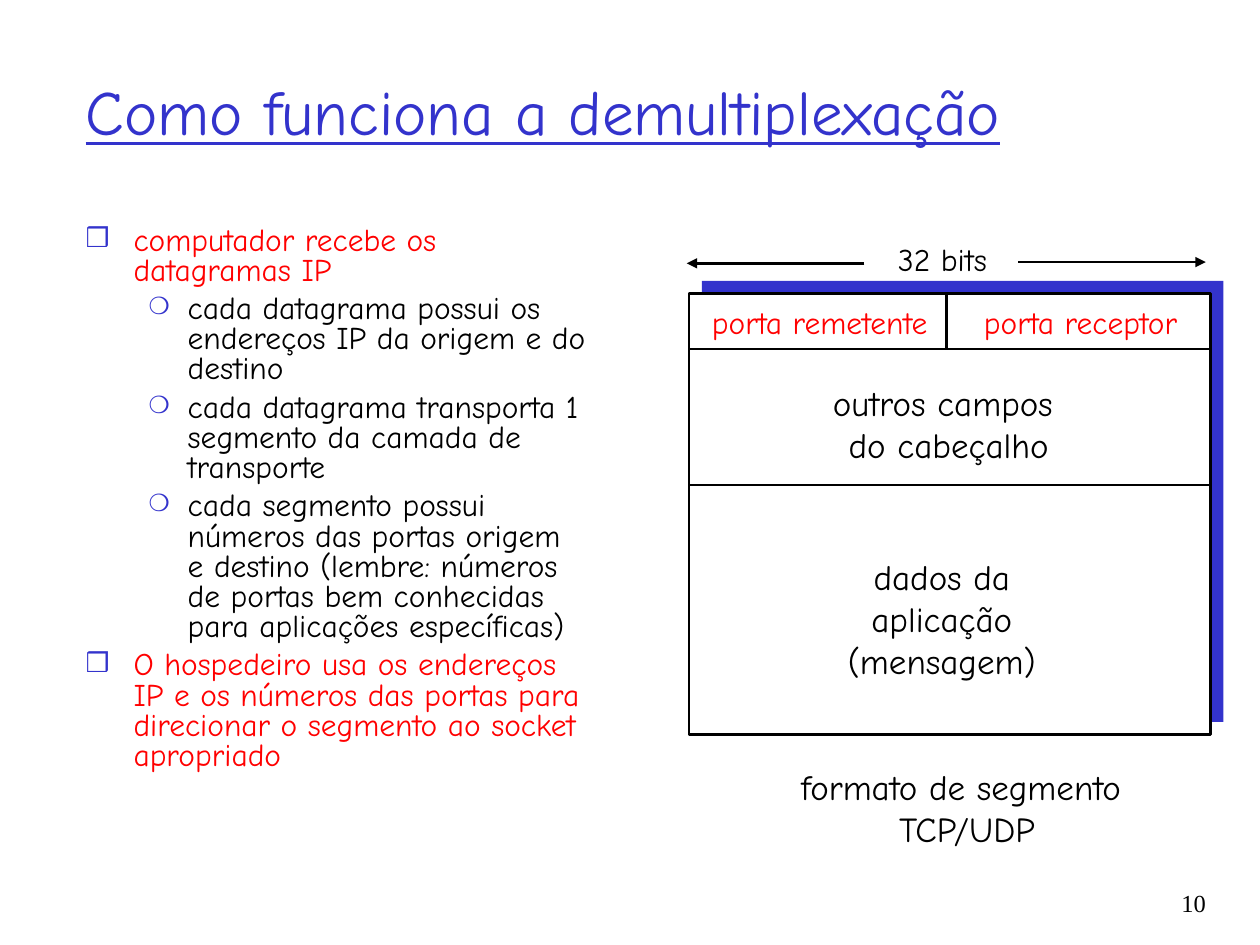
from dataclasses import dataclass

from lxml.etree import SubElement
from pptx import Presentation
from pptx.dml.color import RGBColor
from pptx.enum.shapes import MSO_CONNECTOR, MSO_SHAPE
from pptx.enum.text import MSO_ANCHOR, MSO_AUTO_SIZE, PP_ALIGN
from pptx.oxml.ns import qn
from pptx.util import Emu, Pt

PX = 9144


@dataclass(frozen=True)
class Theme:
    blue: RGBColor = RGBColor(0x33, 0x33, 0xCC)
    red: RGBColor = RGBColor(0xFF, 0, 0)
    black: RGBColor = RGBColor(0, 0, 0)
    white: RGBColor = RGBColor(0xFF, 0xFF, 0xFF)
    font: str = "Comic Neue"
    number_font: str = "Times New Roman"
    title: int = 36
    body: int = 18
    diagram: int = 20
    number: int = 14
    line: float = 1.5


THEME = Theme()


@dataclass(frozen=True)
class Area:
    left: int
    top: int
    width: int
    height: int

    def emu(self) -> list[Emu]:
        return [px(value) for value in (self.left, self.top, self.width, self.height)]


@dataclass(frozen=True)
class Label:
    area: Area
    lines: tuple[str, ...]
    size: int = THEME.diagram
    color: RGBColor = THEME.black
    font: str = THEME.font
    align: PP_ALIGN = PP_ALIGN.CENTER
    wrap: bool = False


@dataclass(frozen=True)
class Rule:
    start: tuple[int, int]
    end: tuple[int, int]
    arrow: bool = False


@dataclass(frozen=True)
class Level:
    bullet: str
    bullet_size: int
    margin: int
    hanging: int
    color: RGBColor


LEVELS = (
    Level("❒", 85, 38, 38, THEME.red),
    Level("❍", 75, 81, 31, THEME.black),
)
TOPICS = (
    (0, "computador recebe os datagramas IP"),
    (1, "cada datagrama possui os endereços IP da origem e do destino"),
    (1, "cada datagrama transporta 1 segmento da camada de transporte"),
    (1, "cada segmento possui números das portas origem e destino "
        "(lembre: números de portas bem conhecidas para aplicações específicas)"),
    (0, "O hospedeiro usa os endereços IP e os números das portas para "
        "direcionar o segmento ao socket apropriado"),
)
SEGMENT = Area(547, 233, 414, 350)
SHADE = Area(SEGMENT.left + 10, SEGMENT.top - 10, SEGMENT.width, SEGMENT.height)
RIGHT = SEGMENT.left + SEGMENT.width
PORTS_BOTTOM, HEADER_BOTTOM, PORT_SPLIT = 277, 385, 751
RULES = (
    Rule((SEGMENT.left, PORTS_BOTTOM), (RIGHT, PORTS_BOTTOM)),
    Rule((SEGMENT.left, HEADER_BOTTOM), (RIGHT, HEADER_BOTTOM)),
    Rule((PORT_SPLIT, PORTS_BOTTOM), (PORT_SPLIT, SEGMENT.top)),
    Rule((808, 208), (957, 208), True),
    Rule((686, 209), (545, 209), True),
)
LABELS = (
    Label(Area(554, 236, 193, 40), ("porta remetente",), THEME.body, THEME.red),
    Label(Area(770, 236, 175, 40), ("porta receptor",), THEME.body, THEME.red),
    Label(Area(700, 186, 96, 40), ("32 bits",), THEME.body),
    Label(Area(663, 436, 169, 110), ("dados da", "aplicação", "(mensagem)")),
    Label(Area(651, 298, 204, 77), ("outros campos \vdo cabeçalho",)),
    Label(Area(625, 603, 285, 77), ("formato de segmento ", "TCP/UDP")),
    Label(Area(893, 700, 74, 50), ("10",), THEME.number, THEME.black,
          THEME.number_font, PP_ALIGN.RIGHT, True),
)


def px(value: int) -> Emu:
    return Emu(value * PX)


def apply(target, **values) -> None:
    for name, value in values.items():
        setattr(target, name, value)


def write(para, text: str, size: int, color: RGBColor, font: str = THEME.font, **extra) -> None:
    para.text = text
    for span in para.runs:
        apply(span.font, name=font, size=Pt(size), **extra)
        span.font.color.rgb = color


def place(shape, area: Area) -> None:
    apply(shape, **dict(zip(("left", "top", "width", "height"), area.emu())))


def add_bullet(para, level: Level) -> None:
    props = para._p.get_or_add_pPr()
    props.set("marL", str(px(level.margin)))
    props.set("indent", str(px(-level.hanging)))
    color = SubElement(props, qn("a:buClr"))
    SubElement(color, qn("a:srgbClr"), val=str(THEME.blue))
    SubElement(props, qn("a:buSzPct"), val=str(level.bullet_size * 1000))
    SubElement(props, qn("a:buChar"), char=level.bullet)


def fill_title(title) -> None:
    place(title, Area(58, 25, 850, 125))
    frame = title.text_frame
    apply(frame, auto_size=MSO_AUTO_SIZE.NONE, vertical_anchor=MSO_ANCHOR.MIDDLE)
    para = frame.paragraphs[0]
    para.alignment = PP_ALIGN.LEFT
    write(para, "Como funciona a demultiplexação", THEME.title, THEME.blue, underline=True)


def fill_topics(body) -> None:
    place(body, Area(58, 175, 417, 508))
    frame = body.text_frame
    apply(frame, auto_size=MSO_AUTO_SIZE.NONE, vertical_anchor=MSO_ANCHOR.TOP)
    for index, (depth, text) in enumerate(TOPICS):
        para = frame.add_paragraph() if index else frame.paragraphs[0]
        level = LEVELS[depth]
        add_bullet(para, level)
        apply(para, level=depth, line_spacing=0.8, space_before=Pt(4.5 if index else 0))
        write(para, text, THEME.body, level.color)


def add_block(page, area: Area, color: RGBColor, outlined: bool) -> None:
    block = page.shapes.add_shape(MSO_SHAPE.RECTANGLE, *area.emu())
    block.shadow.inherit = False
    block.fill.solid()
    block.fill.fore_color.rgb = color
    if outlined:
        block.line.color.rgb = THEME.black
        block.line.width = Pt(THEME.line)
    else:
        block.line.fill.background()


def add_rule(page, rule: Rule) -> None:
    ends = [px(value) for value in rule.start + rule.end]
    line = page.shapes.add_connector(MSO_CONNECTOR.STRAIGHT, *ends)
    line.line.color.rgb = THEME.black
    line.line.width = Pt(THEME.line)
    if rule.arrow:
        SubElement(line.line._get_or_add_ln(), qn("a:tailEnd"), type="triangle")
    SubElement(line._element.spPr, qn("a:effectLst"))


def add_label(page, label: Label) -> None:
    box = page.shapes.add_textbox(*label.area.emu())
    frame = box.text_frame
    fit = MSO_AUTO_SIZE.NONE if label.wrap else MSO_AUTO_SIZE.SHAPE_TO_FIT_TEXT
    apply(frame, word_wrap=label.wrap, auto_size=fit)
    for index, text in enumerate(label.lines):
        para = frame.add_paragraph() if index else frame.paragraphs[0]
        para.alignment = label.align
        write(para, text, label.size, label.color, label.font)


def main() -> None:
    deck = Presentation()
    apply(deck, slide_width=px(1000), slide_height=px(750))
    page = deck.slides.add_slide(deck.slide_layouts[1])
    fill_title(page.shapes.title)
    fill_topics(page.placeholders[1])
    add_block(page, SHADE, THEME.blue, False)
    add_block(page, SEGMENT, THEME.white, True)
    for rule in RULES:
        add_rule(page, rule)
    for label in LABELS:
        add_label(page, label)
    deck.save("out.pptx")


if __name__ == "__main__":
    main()
